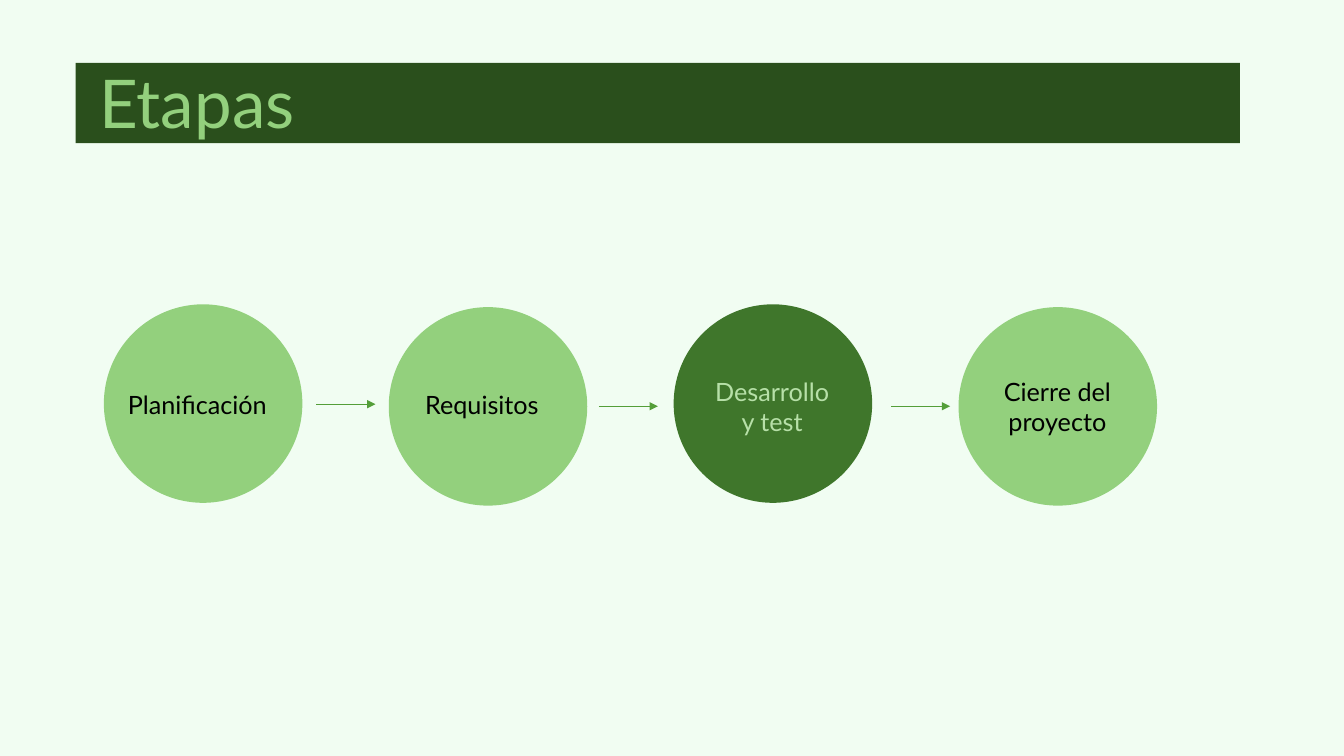
from dataclasses import dataclass

from lxml.etree import SubElement
from pptx import Presentation
from pptx.dml.color import RGBColor
from pptx.enum.shapes import MSO_CONNECTOR as Connector, MSO_SHAPE as Preset
from pptx.enum.text import MSO_AUTO_SIZE as AutoSize, PP_ALIGN as Align
from pptx.oxml.ns import qn
from pptx.util import Pt

FONT = "Lato"
BACKGROUND, BANNER = "F1FDF2", "2A4F1C"
LIGHT, DARK, PALE = "93D07D", "3F762B", "B7E0A8"
BLACK, ARROW = "000000", "549E39"

CIRCLE_LEFT, CIRCLE_STEP, CIRCLE_SIZE = 74.2, 203.5, 141.8
ARROW_LENGTH = 42.2


@dataclass
class Stage:
    label: str
    circle_top: float
    label_left: float
    label_top: float
    label_width: float
    fill: str = LIGHT
    color: str = BLACK
    align: Align = Align.LEFT


@dataclass
class Arrow:
    left: float
    middle: float


STAGES = [
    Stage("Planificación", 217.4, 84.2, 274.3, 121.7),
    Stage("Requisitos", 219.4, 296.6, 274.3, 103),
    Stage("Desarrollo y test", 217.4, 497.5, 265, 108,
          fill=DARK, color=PALE, align=Align.CENTER),
    Stage("Cierre del proyecto", 219.4, 701.3, 265, 108, align=Align.CENTER),
]
ARROWS = [Arrow(226, 288.7), Arrow(427.7, 290.2), Arrow(636.5, 290.2)]


def rgb(value: str) -> RGBColor:
    return RGBColor.from_string(value)


def add_block(page, preset: Preset, left: float, top: float,
              width: float, height: float, fill: str) -> None:
    block = page.shapes.add_shape(preset, Pt(left), Pt(top), Pt(width), Pt(height))
    block.shadow.inherit = False
    block.fill.solid()
    block.fill.fore_color.rgb = rgb(fill)
    block.line.fill.background()


def add_text(page, text: str, *, left: float, top: float, width: float, height: float,
             size: float, color: str, align: Align = Align.LEFT) -> None:
    box = page.shapes.add_textbox(Pt(left), Pt(top), Pt(width), Pt(height))
    box.text_frame.word_wrap = True
    box.text_frame.auto_size = AutoSize.SHAPE_TO_FIT_TEXT
    para = box.text_frame.paragraphs[0]
    para.alignment = align
    span = para.add_run()
    span.text = text
    span.font.name = FONT
    span.font.size = Pt(size)
    span.font.color.rgb = rgb(color)


def add_arrow(page, arrow: Arrow) -> None:
    line = page.shapes.add_connector(
        Connector.STRAIGHT, Pt(arrow.left), Pt(arrow.middle),
        Pt(arrow.left + ARROW_LENGTH), Pt(arrow.middle))
    line.line.color.rgb = rgb(ARROW)
    line.line.width = Pt(0.5)
    SubElement(line.line._get_or_add_ln(), qn("a:tailEnd"), type="triangle")
    SubElement(line._element.spPr, qn("a:effectLst"))


def main() -> None:
    deck = Presentation()
    deck.slide_width, deck.slide_height = Pt(960), Pt(540)
    page = deck.slides.add_slide(deck.slide_layouts[6])
    page.background.fill.solid()
    page.background.fill.fore_color.rgb = rgb(BACKGROUND)

    # Title banner
    add_block(page, Preset.RECTANGLE, 54, 45, 831.6, 57.2, BANNER)
    add_text(page, "Etapas", left=64.1, top=40.5, width=303.8, height=65.5,
             size=48, color=LIGHT)

    # Stage circles with their labels
    for index, stage in enumerate(STAGES):
        add_block(page, Preset.OVAL, CIRCLE_LEFT + index * CIRCLE_STEP,
                  stage.circle_top, CIRCLE_SIZE, CIRCLE_SIZE, stage.fill)
        add_text(page, stage.label, left=stage.label_left, top=stage.label_top,
                 width=stage.label_width, height=29, size=18,
                 color=stage.color, align=stage.align)

    # Arrows between stages
    for arrow in ARROWS:
        add_arrow(page, arrow)

    deck.save("out.pptx")


if __name__ == "__main__":
    main()
